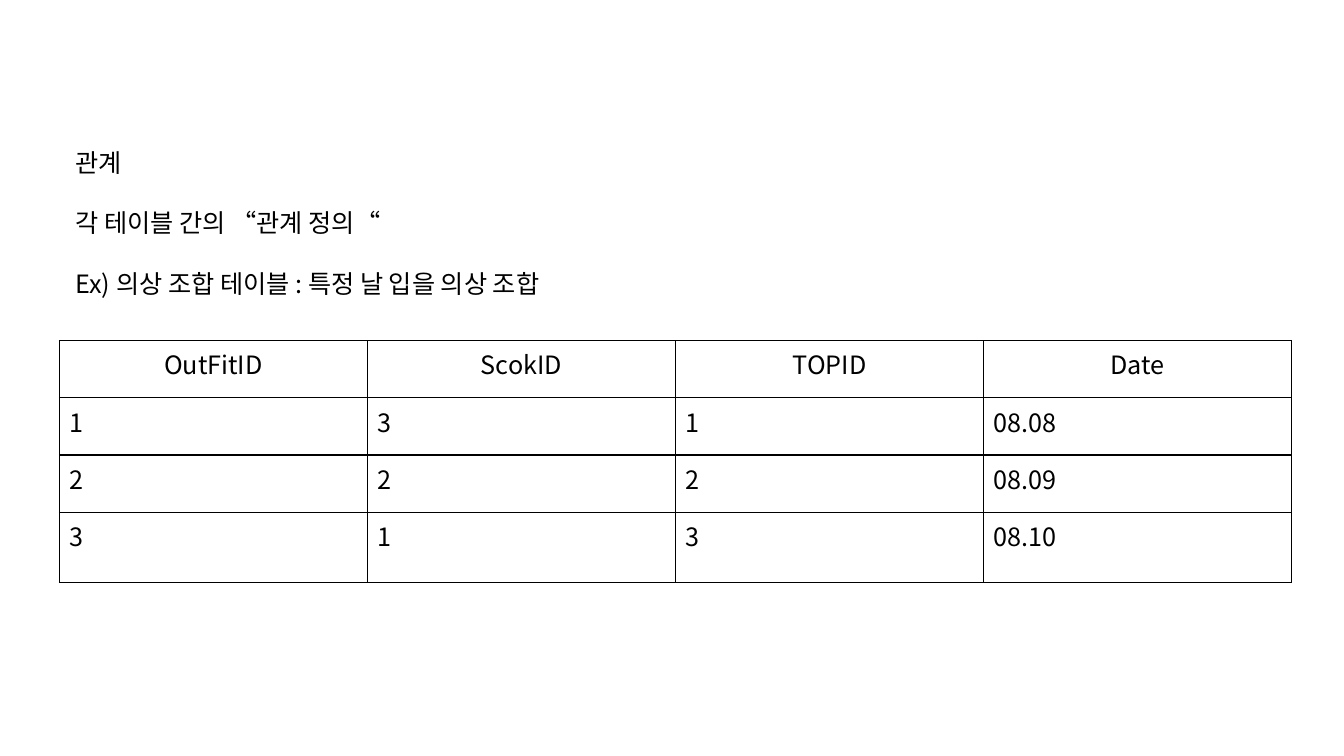
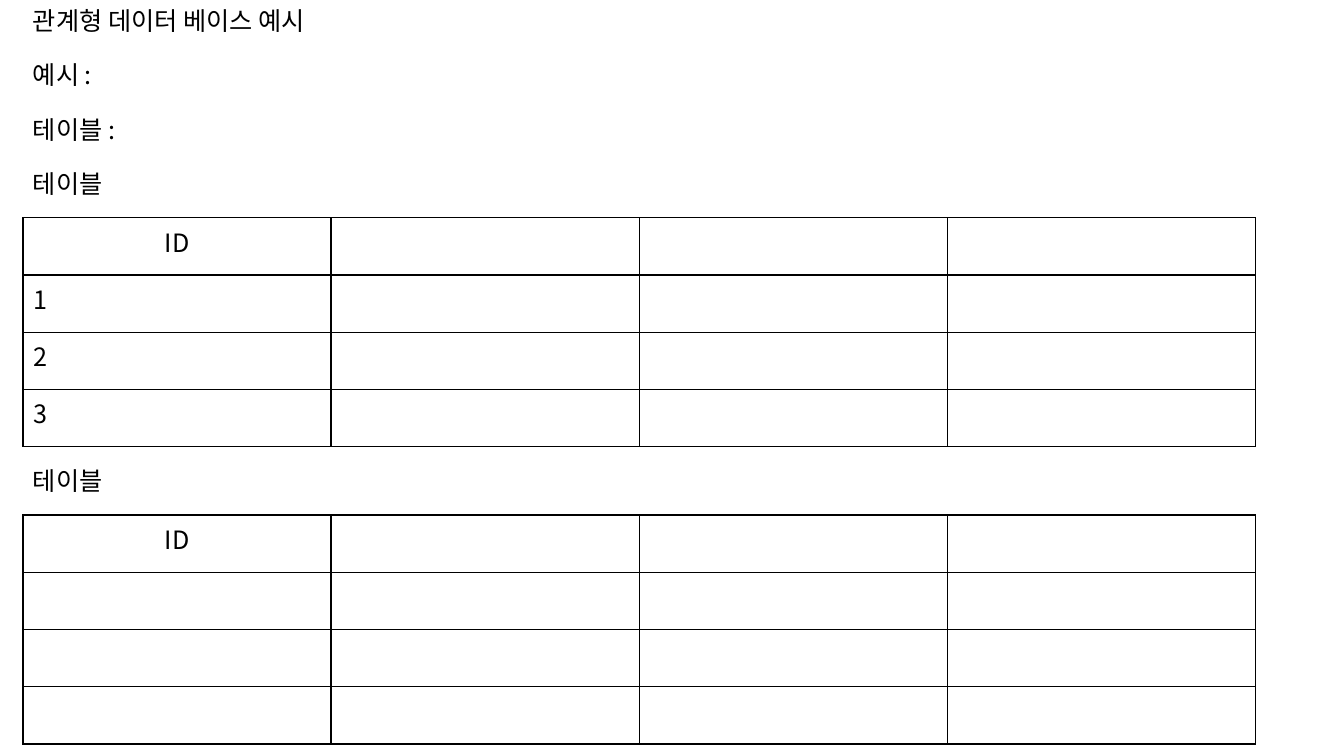
from dataclasses import dataclass

from lxml import etree
from pptx import Presentation
from pptx.dml.color import RGBColor
from pptx.enum.text import PP_ALIGN
from pptx.oxml.ns import qn
from pptx.util import Pt

CENTER = PP_ALIGN.CENTER
LEFT = PP_ALIGN.LEFT


@dataclass(frozen=True)
class Theme:
    font: str = "Noto Sans CJK KR"
    size: float = 18
    ink: str = "000000"
    line: float = 21.6
    border: float = 1
    col_width: float = 220.1
    row_height: float = 40.9


THEME = Theme()


def add_text(s, lines, left, top, width):
    """Add a text box whose paragraphs are one line apart."""
    height = (2 * len(lines) - 1) * THEME.line + 7.2
    tf = s.shapes.add_textbox(Pt(left), Pt(top), Pt(width), Pt(height)).text_frame
    tf.word_wrap = True
    tf.text = "\n".join(lines)
    for i, p in enumerate(tf.paragraphs):
        p.line_spacing = Pt(THEME.line)
        p.space_before = Pt(THEME.line if i else 0)
        style_runs.append(p)


def add_grid(s, rows, left, top, last_height=THEME.row_height):
    """Add an unfilled table with thin borders and a centred header row."""
    heights = [THEME.row_height] * (len(rows) - 1) + [last_height]
    cols = len(rows[0])
    table = s.shapes.add_table(len(rows), cols, Pt(left), Pt(top),
                               Pt(cols * THEME.col_width), Pt(sum(heights))).table
    table.first_row = table.horz_banding = False
    for col in table.columns:
        col.width = Pt(THEME.col_width)
    for r, values in enumerate(rows):
        table.rows[r].height = Pt(heights[r])
        for c, value in enumerate(values):
            cell = table.cell(r, c)
            cell.text = value
            p = cell.text_frame.paragraphs[0]
            p.alignment = LEFT if r else CENTER
            style_runs.append(p)
            tc_pr = cell._tc.get_or_add_tcPr()
            for side in ("a:lnL", "a:lnR", "a:lnT", "a:lnB"):
                ln = etree.SubElement(tc_pr, qn(side), w=str(Pt(THEME.border)))
                fill = etree.SubElement(ln, qn("a:solidFill"))
                etree.SubElement(fill, qn("a:srgbClr"), val=THEME.ink)
            cell.fill.background()


prs = Presentation()
prs.slide_width, prs.slide_height = Pt(960), Pt(540)
blank = prs.slide_layouts[6]
style_runs = []  # paragraphs that take the shared type style

# Slide 1: relations between tables
s = prs.slides.add_slide(blank)
add_text(s, ["관계", "각 테이블 간의 “관계 정의“", "Ex) 의상 조합 테이블 : 특정 날 입을 의상 조합"],
         46.8, 101.5, 583)
outfits = [
    ["OutFitID", "ScokID", "TOPID", "Date"],
    ["1", "3", "1", "08.08"],
    ["2", "2", "2", "08.09"],
    ["3", "1", "3", "08.10"],
]
add_grid(s, outfits, 42.4, 243.3, last_height=50.4)

# Slide 2: relational database template
s = prs.slides.add_slide(blank)
left, step = 16.4, 38.9
for i, (label, width) in enumerate([("관계형 데이터 베이스 예시", 260), ("예시 :", 318),
                                    ("테이블 :", 318)]):
    add_text(s, [label], left, i * step, width)
for top, ids in [(3 * step, ["1", "2", "3"]), (329, [""] * 3)]:
    add_text(s, ["테이블"], left, top, 184)
    add_grid(s, [[key, "", "", ""] for key in ["ID"] + ids], left, top + step)

for p in style_runs:
    for r in p.runs:
        r.font.name = THEME.font
        r.font.size = Pt(THEME.size)
        r.font.color.rgb = RGBColor.from_string(THEME.ink)
        etree.SubElement(r.font._element, qn("a:ea"), typeface=THEME.font)

prs.save("out.pptx")
